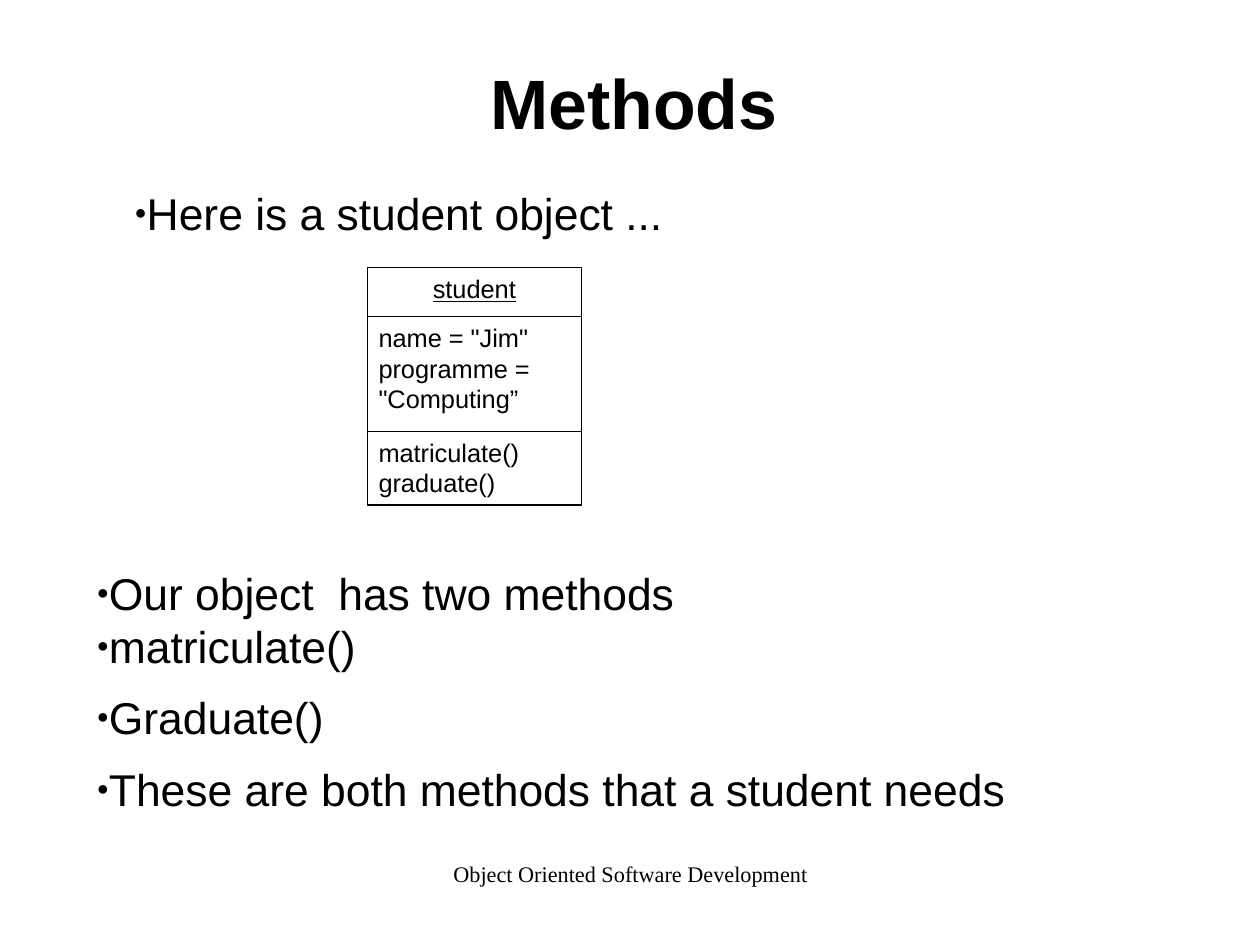
"""Build the slide on the methods of a student object."""
from itertools import accumulate

from lxml.etree import SubElement
from pptx import Presentation
from pptx.dml.color import RGBColor
from pptx.enum.shapes import MSO_SHAPE
from pptx.enum.text import MSO_ANCHOR, PP_ALIGN
from pptx.oxml.ns import qn
from pptx.util import Emu, Pt

BLACK = RGBColor(0, 0, 0)
WHITE = RGBColor(255, 255, 255)
SLIDE_WIDTH, SLIDE_HEIGHT = Emu(10080625), Emu(7559675)

TITLE = {"name": "Arial", "size": Pt(44), "bold": True}
BODY = {"name": "Arial", "size": Pt(28)}
MEMBER = {"name": "Arial", "size": Pt(16)}
CLASS_NAME = MEMBER | {"underline": True}
FOOTER = {"name": "Times New Roman", "size": Pt(14)}


def share(left, top, width, height):
    """Turn percentages of the slide into left, top, width and height."""
    return (int(SLIDE_WIDTH * left / 100), int(SLIDE_HEIGHT * top / 100),
            int(SLIDE_WIDTH * width / 100), int(SLIDE_HEIGHT * height / 100))


def write(frame, lines, style, align=PP_ALIGN.LEFT, bulleted=False, gaps=()):
    """Fill a text frame with formatted lines and the gaps after them."""
    frame.word_wrap = True
    for index, line in enumerate(lines):
        paragraph = frame.paragraphs[0] if index == 0 else frame.add_paragraph()
        paragraph.alignment = align
        paragraph.space_before = Pt(0)
        paragraph.space_after = Pt(gaps[index] if gaps else 0)
        if bulleted:
            add_bullet(paragraph)
        run = paragraph.add_run()
        run.text = line
        for attribute, value in style.items():
            setattr(run.font, attribute, value)
        run.font.color.rgb = BLACK


def add_bullet(paragraph):
    """Put a small round bullet directly before the paragraph text."""
    properties = paragraph._p.get_or_add_pPr()
    properties.set("marL", "0")
    properties.set("indent", "0")
    SubElement(properties, qn("a:buSzPct"), val="45000")
    SubElement(properties, qn("a:buFont"), typeface="Arial")
    SubElement(properties, qn("a:buChar"), char="●")


def add_title(slide, text):
    """Place and format the slide title."""
    title = slide.shapes.title
    title.left, title.top, title.width, title.height = share(6, 2.4, 88.65, 16.7)
    title.text_frame.vertical_anchor = MSO_ANCHOR.MIDDLE
    write(title.text_frame, [text], TITLE, PP_ALIGN.CENTER)


def add_points(slide, area, points, gaps):
    """Add a list of bulleted points."""
    frame = slide.shapes.add_textbox(*share(*area)).text_frame
    write(frame, points, BODY, bulleted=True, gaps=gaps)


def add_object_diagram(slide, left, top, width, compartments):
    """Stack the compartments of an object diagram under each other."""
    heights = [height for height, *_ in compartments]
    tops = accumulate(heights, initial=top)
    for y, (height, lines, style, align) in zip(tops, compartments):
        compartment = slide.shapes.add_shape(
            MSO_SHAPE.RECTANGLE, *share(left, y, width, height))
        compartment.shadow.inherit = False
        compartment.fill.solid()
        compartment.fill.fore_color.rgb = WHITE
        compartment.line.color.rgb = BLACK
        compartment.line.width = Pt(0.75)
        compartment.text_frame.vertical_anchor = MSO_ANCHOR.TOP
        write(compartment.text_frame, lines, style, align)


def add_footer(slide, text):
    """Add the centred course name at the foot of the slide."""
    frame = slide.shapes.add_textbox(*share(34.2, 91.05, 31.7, 6.9)).text_frame
    for side in ("left", "top", "right", "bottom"):
        setattr(frame, f"margin_{side}", 0)
    write(frame, [text], FOOTER, PP_ALIGN.CENTER)


def main():
    """Build and save the slide."""
    presentation = Presentation()
    presentation.slide_width = SLIDE_WIDTH
    presentation.slide_height = SLIDE_HEIGHT
    slide = presentation.slides.add_slide(presentation.slide_layouts[5])

    add_footer(slide, "Object Oriented Software Development")
    add_title(slide, "Methods")
    add_points(slide, (9.8, 19.05, 81.2, 21.3), ["Here is a student object ..."], [0])
    add_object_diagram(slide, 29.15, 28.3, 17, [
        (5.2, ["student"], CLASS_NAME, PP_ALIGN.CENTER),
        (12.15, ['name = "Jim"', 'programme = "Computing”'], MEMBER, PP_ALIGN.LEFT),
        (7.8, ["matriculate()", "graduate()"], MEMBER, PP_ALIGN.LEFT),
    ])
    add_points(slide, (6.8, 59.25, 81.2, 35.7), [
        "Our object  has two methods",
        "matriculate()",
        "Graduate()",
        "These are both methods that a student needs",
    ], [0, 11.3, 11.3, 14.2])

    presentation.save("out.pptx")


if __name__ == "__main__":
    main()
